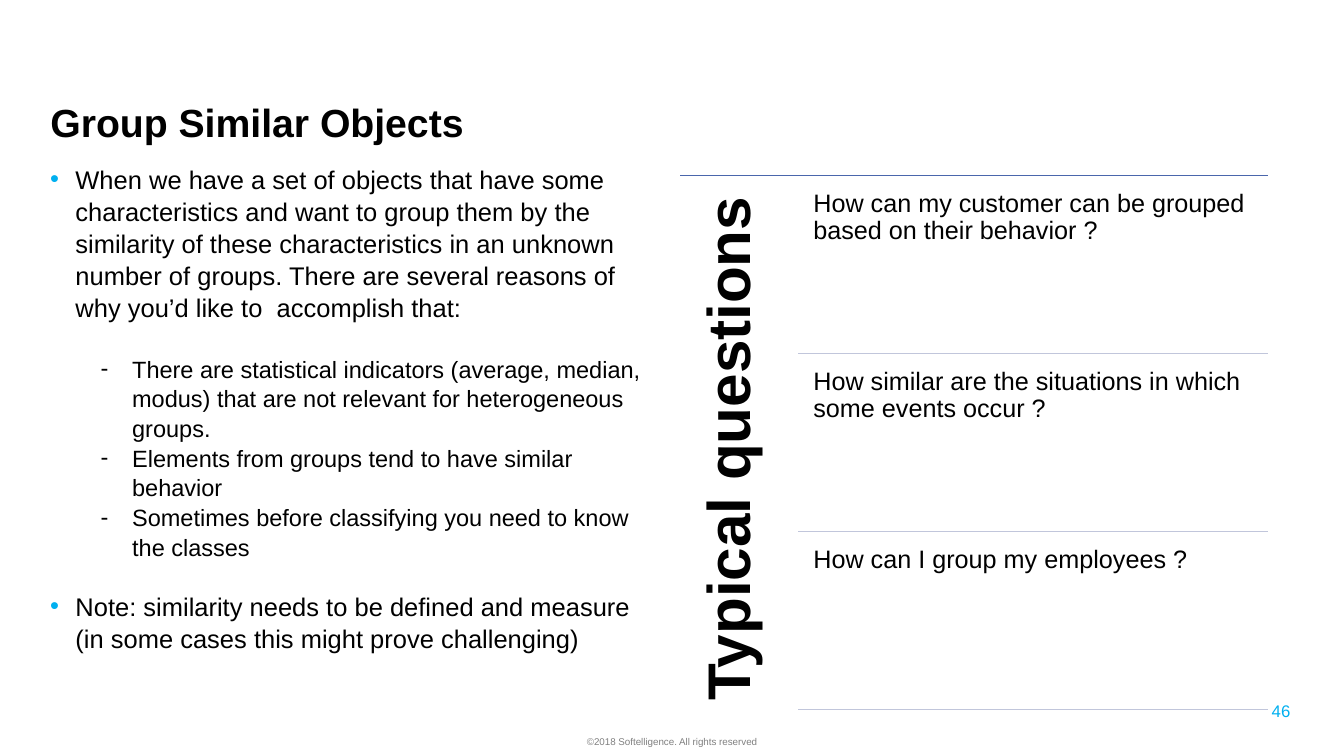
from lxml import etree
from pptx import Presentation
from pptx.dml.color import RGBColor
from pptx.enum.shapes import MSO_CONNECTOR
from pptx.enum.text import MSO_ANCHOR, PP_ALIGN
from pptx.oxml.ns import qn
from pptx.util import Pt

STRAIGHT = MSO_CONNECTOR.STRAIGHT
MIDDLE = MSO_ANCHOR.MIDDLE
TOP = MSO_ANCHOR.TOP
LEFT = PP_ALIGN.LEFT
CENTER = PP_ALIGN.CENTER
RIGHT = PP_ALIGN.RIGHT

TITLE_ONLY = 5
FONT = "Arial"
COLORS = {"text": "000000", "accent": "00B0F0", "footer": "808080",
          "top_rule": "4A66AC", "rule": "C1C6DB"}

# Text, level, space before
BODY = [
    ("When we have a set of objects that have some characteristics and want "
     "to group them by the similarity of these characteristics in an unknown "
     "number of groups. There are several reasons of why you’d like to  "
     "accomplish that:", 0, 0),
    ("There are statistical indicators (average, median, modus) that are not "
     "relevant for heterogeneous groups.", 1, 22),
    ("Elements from groups tend to have similar behavior", 1, 0),
    ("Sometimes before classifying you need to know the classes", 1, 0),
    ("Note: similarity needs to be defined and measure (in some cases this "
     "might prove challenging)", 0, 20.3),
]
# Bullet, bullet colour, left margin, hanging indent, text size for each level
LEVELS = [("•", "accent", 18, 18, 18.2), ("-", "text", 58.5, 22.5, 16.8)]

QUESTIONS = [
    "How can my customer can be grouped based on their behavior ?",
    "How similar are the situations in which some events occur ?",
    "How can I group my employees ?",
]
PANEL_LEFT, PANEL_TOP, PANEL_RIGHT = 486, 125.3, 905.8
QUESTION_LEFT, QUESTION_PITCH = 570.2, 127.2


def style(paragraph, size, color="text", bold=False):
    paragraph.font.name = FONT
    paragraph.font.size = Pt(size)
    paragraph.font.bold = bold
    paragraph.font.color.rgb = RGBColor.from_string(COLORS[color])


def prepare_frame(text_frame, margins=(7.2, 3.6), anchor=TOP):
    """Set wrapping, anchor and the (horizontal, vertical) margins."""
    text_frame.word_wrap = True
    text_frame.vertical_anchor = anchor
    text_frame.margin_left = text_frame.margin_right = Pt(margins[0])
    text_frame.margin_top = text_frame.margin_bottom = Pt(margins[1])


def add_text(slide, box, text, size, color="text", bold=False, align=LEFT,
             line_spacing=1.0, margins=(7.2, 3.6), anchor=TOP):
    shape = slide.shapes.add_textbox(*map(Pt, box))
    text_frame = shape.text_frame
    prepare_frame(text_frame, margins, anchor)
    text_frame.text = text
    paragraph = text_frame.paragraphs[0]
    paragraph.alignment = align
    paragraph.line_spacing = line_spacing
    style(paragraph, size, color, bold)
    return shape


def add_rule(slide, left, top, color):
    rule = slide.shapes.add_connector(
        STRAIGHT, Pt(left), Pt(top), Pt(PANEL_RIGHT), Pt(top))
    rule.line.color.rgb = RGBColor.from_string(COLORS[color])
    rule.line.width = Pt(1)
    etree.SubElement(rule._element.spPr, qn("a:effectLst"))


def set_bullet(paragraph, character, color, margin, hanging):
    properties = paragraph._p.get_or_add_pPr()
    properties.set("marL", str(Pt(margin)))
    properties.set("indent", str(-Pt(hanging)))
    bullet_color = etree.SubElement(properties, qn("a:buClr"))
    etree.SubElement(bullet_color, qn("a:srgbClr"), val=COLORS[color])
    etree.SubElement(properties, qn("a:buFont"), typeface=FONT)
    etree.SubElement(properties, qn("a:buChar"), char=character)


def add_title(slide):
    title = slide.shapes.title
    title.left, title.top = Pt(28.8), Pt(67.7)
    title.width, title.height = Pt(877), Pt(38.9)
    prepare_frame(title.text_frame, anchor=MIDDLE)
    title.text_frame.text = "Group Similar Objects"
    paragraph = title.text_frame.paragraphs[0]
    paragraph.alignment = LEFT
    style(paragraph, 28, bold=True)


def add_body(slide):
    shape = slide.shapes.add_textbox(Pt(28.8), Pt(112.3), Pt(445.7), Pt(401))
    text_frame = shape.text_frame
    prepare_frame(text_frame)
    text_frame.text = "\n".join(text for text, _, _ in BODY)
    for paragraph, (_, level, space) in zip(text_frame.paragraphs, BODY):
        *bullet, size = LEVELS[level]
        paragraph.level = level
        paragraph.line_spacing = 1.05
        paragraph.space_before = Pt(space)
        set_bullet(paragraph, *bullet)
        style(paragraph, size)


def add_questions(slide):
    add_rule(slide, PANEL_LEFT, PANEL_TOP, "top_rule")
    heading = add_text(slide, (PANEL_LEFT, PANEL_TOP, 84.2, 388),
                       "Typical questions", 43, bold=True,
                       line_spacing=0.9, margins=(13, 13))
    heading.text_frame._txBody.bodyPr.set("vert", "vert270")
    for index, question in enumerate(QUESTIONS):
        top = PANEL_TOP + index * QUESTION_PITCH
        add_text(slide, (576, top + 6, 329, 121), question, 18,
                 line_spacing=0.9, margins=(5, 5))
        add_rule(slide, QUESTION_LEFT, top + QUESTION_PITCH, "rule")


def main():
    presentation = Presentation()
    presentation.slide_width, presentation.slide_height = Pt(960), Pt(540)
    slide = presentation.slides.add_slide(
        presentation.slide_layouts[TITLE_ONLY])
    add_title(slide)
    add_body(slide)
    add_questions(slide)
    add_text(slide, (712.8, 493.2, 216, 28.8), "46", 12, "accent",
             align=RIGHT, anchor=MIDDLE)
    add_text(slide, (0, 522, 960, 18), "©2018 Softelligence. All rights reserved",
             7, "footer", align=CENTER)
    presentation.save("out.pptx")


if __name__ == "__main__":
    main()
